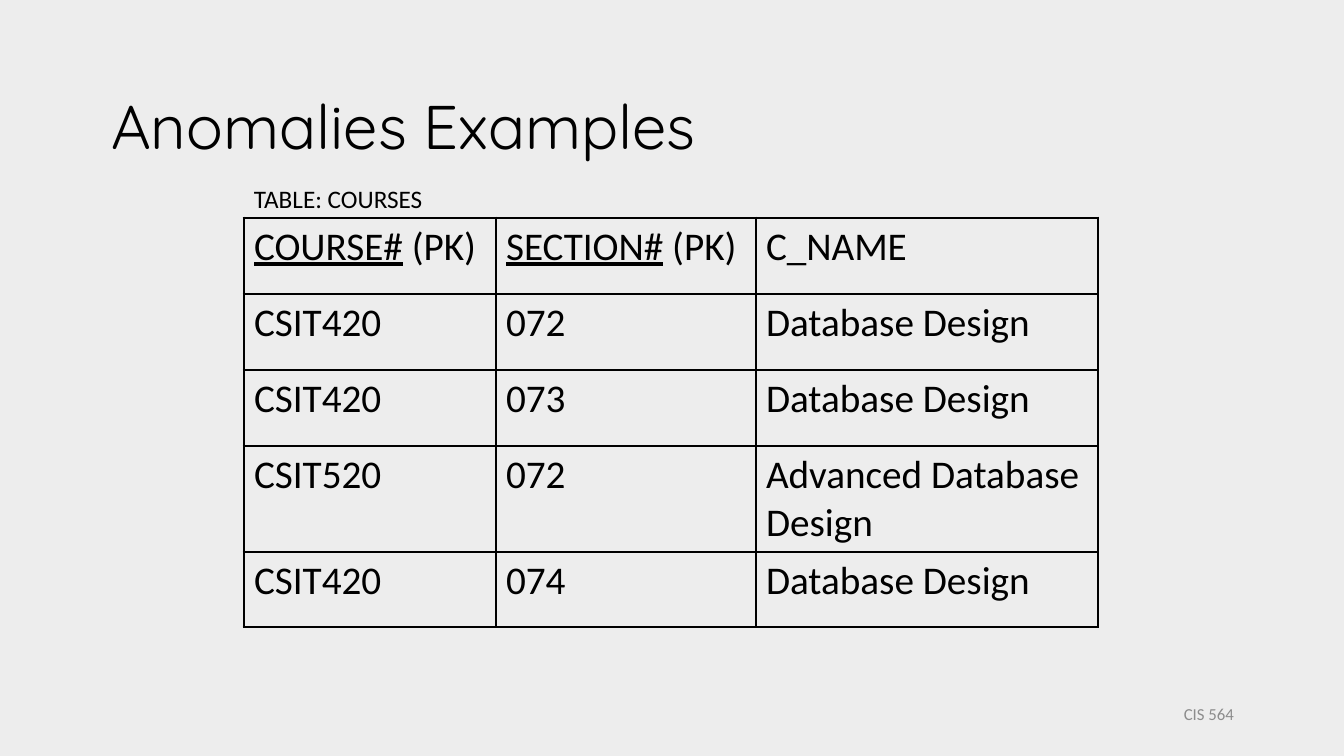
from dataclasses import dataclass

import lxml.etree
import pptx
import pptx.dml.color
import pptx.enum.text
import pptx.oxml.ns
import pptx.util

PX = 9144000 / 1008  # EMU per px at 100.8 px to the inch
ALIGN = pptx.enum.text.PP_ALIGN
ANCHOR = pptx.enum.text.MSO_ANCHOR


@dataclass(frozen=True)
class Theme:
    background: str = "EDEDED"
    ink: str = "000000"
    muted: str = "8C8C8C"
    heading_font: str = "Quicksand"
    body_font: str = "Calibri"
    title_size: int = 44
    cell_size: int = 28
    caption_size: int = 18
    footer_size: int = 12
    thin: float = 1
    thick: float = 2.25


THEME = Theme()

COLUMN_WIDTHS = [252, 260, 342]
ROW_HEIGHTS = [76, 76, 76, 106, 75]
HEADERS = [("COURSE#", " (PK)"), ("SECTION#", " (PK)"), ("", "C_NAME")]
COURSES = [
    ("CSIT420", "072", "Database Design"),
    ("CSIT420", "073", "Database Design"),
    ("CSIT520", "072", "Advanced Database Design"),
    ("CSIT420", "074", "Database Design"),
]


def px(length):
    return pptx.util.Emu(round(length * PX))


def rgb(colour):
    return pptx.dml.color.RGBColor.from_string(colour)


def write(frame, text, *, size, underlined="", font=THEME.body_font,
          colour=THEME.ink, align=ALIGN.LEFT, anchor=ANCHOR.TOP, line_spacing=None):
    """Write one paragraph, with the underlined words ahead of the text."""
    frame.word_wrap = True
    frame.vertical_anchor = anchor
    paragraph = frame.paragraphs[0]
    paragraph.alignment = align
    paragraph.line_spacing = line_spacing
    for words, underline in ((underlined, True), (text, False)):
        if words:
            run = paragraph.add_run()
            run.text = words
            run.font.size = pptx.util.Pt(size)
            run.font.name = font
            run.font.underline = underline
            run.font.color.rgb = rgb(colour)


def add_label(slide, box, text, **text_format):
    label = slide.shapes.add_textbox(*map(px, box))
    write(label.text_frame, text, **text_format)


def place_title(slide, box, text):
    title = slide.shapes.title
    title.left, title.top, title.width, title.height = map(px, box)
    title.text_frame.auto_size = pptx.enum.text.MSO_AUTO_SIZE.NONE
    write(title.text_frame, text, size=THEME.title_size, font=THEME.heading_font,
          anchor=ANCHOR.MIDDLE, line_spacing=0.9)


def rule_cell(cell, widths):
    """Draw the cell's borders; widths maps L, R, T and B to points."""
    properties = cell._tc.get_or_add_tcPr()
    qn = pptx.oxml.ns.qn
    for side, width in widths.items():
        line = lxml.etree.SubElement(properties, qn(f"a:ln{side}"),
                                     w=str(pptx.util.Pt(width)))
        fill = lxml.etree.SubElement(line, qn("a:solidFill"))
        lxml.etree.SubElement(fill, qn("a:srgbClr"), val=THEME.ink)
    cell.fill.background()


def add_courses(slide, box):
    left, top, width, height = box
    caption_height = 40
    add_label(slide, (left, top, 504, caption_height), "TABLE: COURSES",
              size=THEME.caption_size)

    rows = [HEADERS] + [[("", value) for value in course] for course in COURSES]
    courses = slide.shapes.add_table(
        len(rows), len(HEADERS),
        *map(px, (left, top + caption_height, width, height - caption_height))).table
    courses.first_row = courses.horz_banding = False
    for column, column_width in zip(courses.columns, COLUMN_WIDTHS):
        column.width = px(column_width)
    for row, row_height in zip(courses.rows, ROW_HEIGHTS):
        row.height = px(row_height)

    last_column = len(HEADERS) - 1
    for r, values in enumerate(rows):
        for c, (key, text) in enumerate(values):
            cell = courses.cell(r, c)
            write(cell.text_frame, text, underlined=key, size=THEME.cell_size)
            rule_cell(cell, {
                "L": THEME.thick if c == 0 else THEME.thin,
                "R": THEME.thick if c == last_column else THEME.thin,
                "T": THEME.thick if r == 0 else THEME.thin,
                "B": THEME.thin,
            })


def build_anomalies_slide(deck):
    slide = deck.slides.add_slide(deck.slide_layouts[5])
    slide.background.fill.solid()
    slide.background.fill.fore_color.rgb = rgb(THEME.background)
    place_title(slide, (101, 67, 1142, 126), "Anomalies Examples")
    add_courses(slide, (244, 178, sum(COLUMN_WIDTHS), 40 + sum(ROW_HEIGHTS)))
    add_label(slide, (964, 689, 280, 50), "CIS 564", size=THEME.footer_size,
              colour=THEME.muted, align=ALIGN.RIGHT, anchor=ANCHOR.MIDDLE)


def main():
    deck = pptx.Presentation()
    deck.slide_width, deck.slide_height = px(1344), px(756)
    build_anomalies_slide(deck)
    deck.save("out.pptx")


if __name__ == "__main__":
    main()
